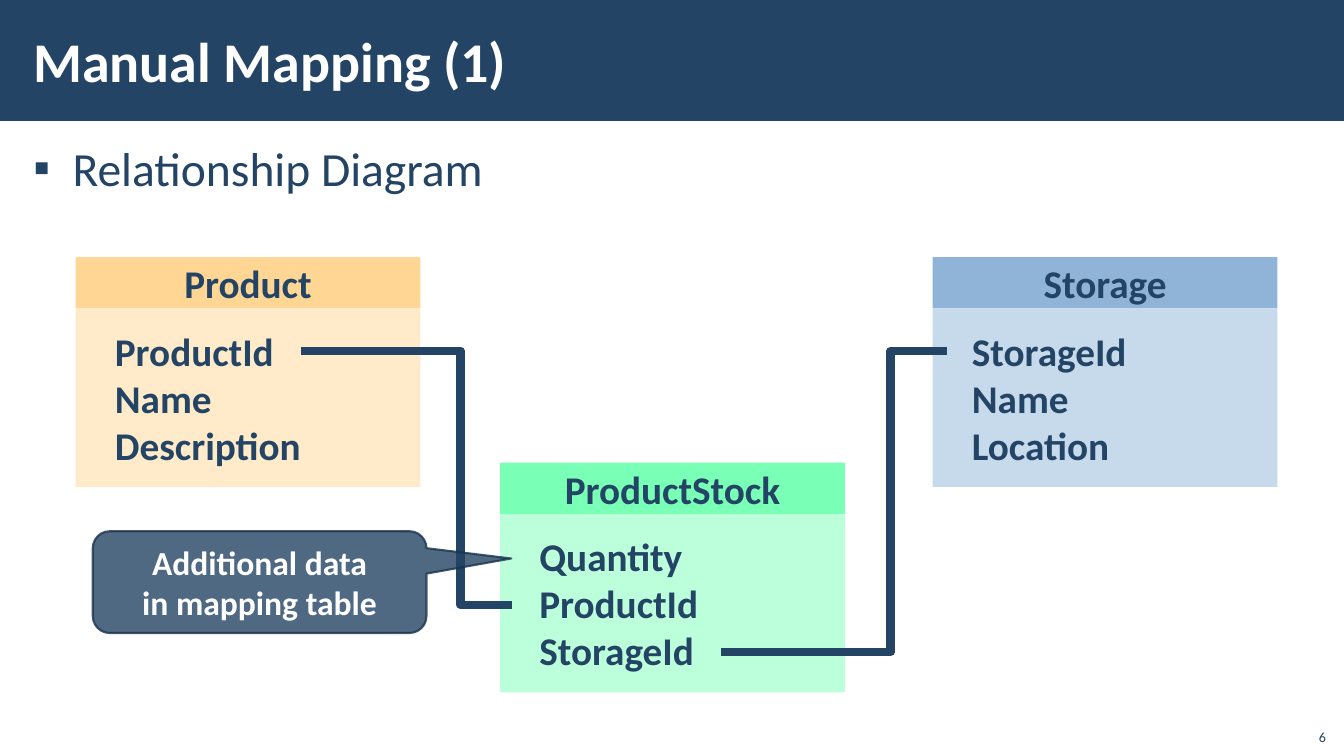
from dataclasses import dataclass

from lxml import etree
from pptx import Presentation
from pptx import util as u
from pptx.dml.color import RGBColor
from pptx.enum import shapes, text
from pptx.oxml import ns

NAVY = RGBColor(0x23, 0x44, 0x65)
DARK_NAVY = RGBColor(0x1A, 0x33, 0x4C)
WHITE = RGBColor(0xFF, 0xFF, 0xFF)
ORANGE = RGBColor(0xFF, 0xD6, 0x94)
PALE_ORANGE = RGBColor(0xFF, 0xEB, 0xC9)
BLUE = RGBColor(0x90, 0xB4, 0xD8)
PALE_BLUE = RGBColor(0xC7, 0xDA, 0xEC)
GREEN = RGBColor(0x79, 0xFF, 0xB6)
PALE_GREEN = RGBColor(0xBC, 0xFF, 0xDB)

ENTITY_WIDTH = 3.42
HEADER_HEIGHT = 0.51
FIELDS_HEIGHT = 1.77
LEFT = text.PP_ALIGN.LEFT
CENTER = text.PP_ALIGN.CENTER
RIGHT = text.PP_ALIGN.RIGHT
MIDDLE = text.MSO_ANCHOR.MIDDLE


@dataclass(frozen=True)
class Entity:
    name: str
    fields: tuple[str, ...]
    left: float
    top: float
    header_color: RGBColor
    fields_color: RGBColor


@dataclass(frozen=True)
class Relation:
    start: tuple[float, float]
    end: tuple[float, float]
    bend: float


ENTITIES = (
    Entity("Product", ("ProductId", "Name", "Description"), 0.75, 2.55, ORANGE, PALE_ORANGE),
    Entity("Storage", ("StorageId", "Name", "Location"), 9.25, 2.55, BLUE, PALE_BLUE),
    Entity("ProductStock", ("Quantity", "ProductId", "StorageId"), 4.96, 4.59, GREEN, PALE_GREEN),
)
RELATIONS = (
    Relation((2.99, 3.48), (5.08, 6), 0.755),
    Relation((9.39, 3.48), (7.15, 6.47), 0.248),
)


def set_values(target, values: dict) -> None:
    for name, value in values.items():
        setattr(target, name, value)


def place(shape, left: float, top: float, width: float, height: float) -> None:
    box = {"left": left, "top": top, "width": width, "height": height}
    set_values(shape, {name: u.Inches(value) for name, value in box.items()})


def add_child(parent, tag: str, **attributes: str):
    return etree.SubElement(parent, ns.qn(tag), attributes)


def write(shape, lines: tuple[str, ...], size: float, color: RGBColor = NAVY, bold: bool = True,
          align=LEFT, anchor=MIDDLE, side: float = 0.1, edge: float = 0.05) -> None:
    frame = shape.text_frame
    set_values(frame, {
        "text": "\n".join(lines),
        "word_wrap": True,
        "auto_size": text.MSO_AUTO_SIZE.NONE,
        "vertical_anchor": anchor,
        "margin_left": u.Inches(side),
        "margin_right": u.Inches(side),
        "margin_top": u.Inches(edge),
        "margin_bottom": u.Inches(edge),
    })
    for paragraph in frame.paragraphs:
        paragraph.alignment = align
        for run in paragraph.runs:
            set_values(run.font, {"name": "Calibri", "size": u.Pt(size), "bold": bold})
            run.font.color.rgb = color


def add_box(slide, kind, left: float, top: float, width: float, height: float, fill: RGBColor):
    shape = slide.shapes.add_shape(kind, *map(u.Inches, (left, top, width, height)))
    shape.shadow.inherit = False
    shape.fill.solid()
    shape.fill.fore_color.rgb = fill
    shape.line.fill.background()
    return shape


def add_title_and_list(slide) -> None:
    bar = add_box(slide, shapes.MSO_SHAPE.RECTANGLE, 0, 0, 13.33, 1.2, NAVY)
    slide.shapes.element.insert(2, bar.element)

    title = slide.shapes.title
    place(title, 0.21, 0.11, 10.63, 0.97)
    write(title, ("Manual Mapping (1)",), 40, WHITE, side=0.12, edge=0.04)

    body = slide.placeholders[1]
    place(body, 0.21, 1.31, 12.92, 6.05)
    write(body, ("Relationship Diagram",), 34, bold=False,
          anchor=text.MSO_ANCHOR.TOP, side=0.12, edge=0.04)
    paragraph = body.text_frame.paragraphs[0]
    properties = paragraph._p.get_or_add_pPr()
    properties.set("marL", str(u.Inches(0.39)))
    properties.set("indent", str(u.Inches(-0.39)))
    add_child(properties, "a:buChar", char="▪")
    set_values(paragraph, {"line_spacing": 1.05, "space_before": u.Pt(0), "space_after": u.Pt(6)})


def add_entity(slide, entity: Entity) -> None:
    rectangle = shapes.MSO_SHAPE.RECTANGLE
    header = add_box(slide, rectangle, entity.left, entity.top,
                     ENTITY_WIDTH, HEADER_HEIGHT, entity.header_color)
    write(header, (entity.name,), 28, align=CENTER)
    fields = add_box(slide, rectangle, entity.left, entity.top + HEADER_HEIGHT,
                     ENTITY_WIDTH, FIELDS_HEIGHT, entity.fields_color)
    write(fields, entity.fields, 28, side=0.39)


def add_relation(slide, relation: Relation) -> None:
    connector = slide.shapes.add_connector(
        shapes.MSO_CONNECTOR.ELBOW, *map(u.Inches, relation.start + relation.end))
    connector.line.color.rgb = NAVY
    connector.line.width = u.Pt(6)
    properties = connector.element.spPr
    add_child(properties, "a:effectLst")
    adjustments = properties.find(ns.qn("a:prstGeom")).find(ns.qn("a:avLst"))
    add_child(adjustments, "a:gd", name="adj1", fmla=f"val {round(relation.bend * 100000)}")


def add_callout(slide) -> None:
    callout = add_box(slide, shapes.MSO_SHAPE.ROUNDED_RECTANGULAR_CALLOUT,
                      0.92, 5.27, 3.31, 1.01, NAVY)
    for index, value in enumerate((0.754, -0.232, 0.167)):
        callout.adjustments[index] = value
    callout.line.color.rgb = DARK_NAVY
    callout.line.width = u.Pt(1.5)
    for color in callout.element.spPr.iter(ns.qn("a:srgbClr")):
        add_child(color, "a:alpha", val="80000")
    write(callout, ("Additional data", "in mapping table"), 24, WHITE, align=CENTER)


def add_page_number(slide) -> None:
    number = slide.shapes.add_textbox(*map(u.Inches, (12.85, 7.12, 0.4, 0.32)))
    write(number, ("6",), 10, bold=False, align=RIGHT, anchor=text.MSO_ANCHOR.BOTTOM)


def main() -> None:
    presentation = Presentation()
    presentation.slide_width = u.Inches(13.33)
    presentation.slide_height = u.Inches(7.5)
    slide = presentation.slides.add_slide(presentation.slide_layouts[1])
    add_title_and_list(slide)
    for entity in ENTITIES:
        add_entity(slide, entity)
    for relation in RELATIONS:
        add_relation(slide, relation)
    add_callout(slide)
    add_page_number(slide)
    presentation.save("out.pptx")


if __name__ == "__main__":
    main()
